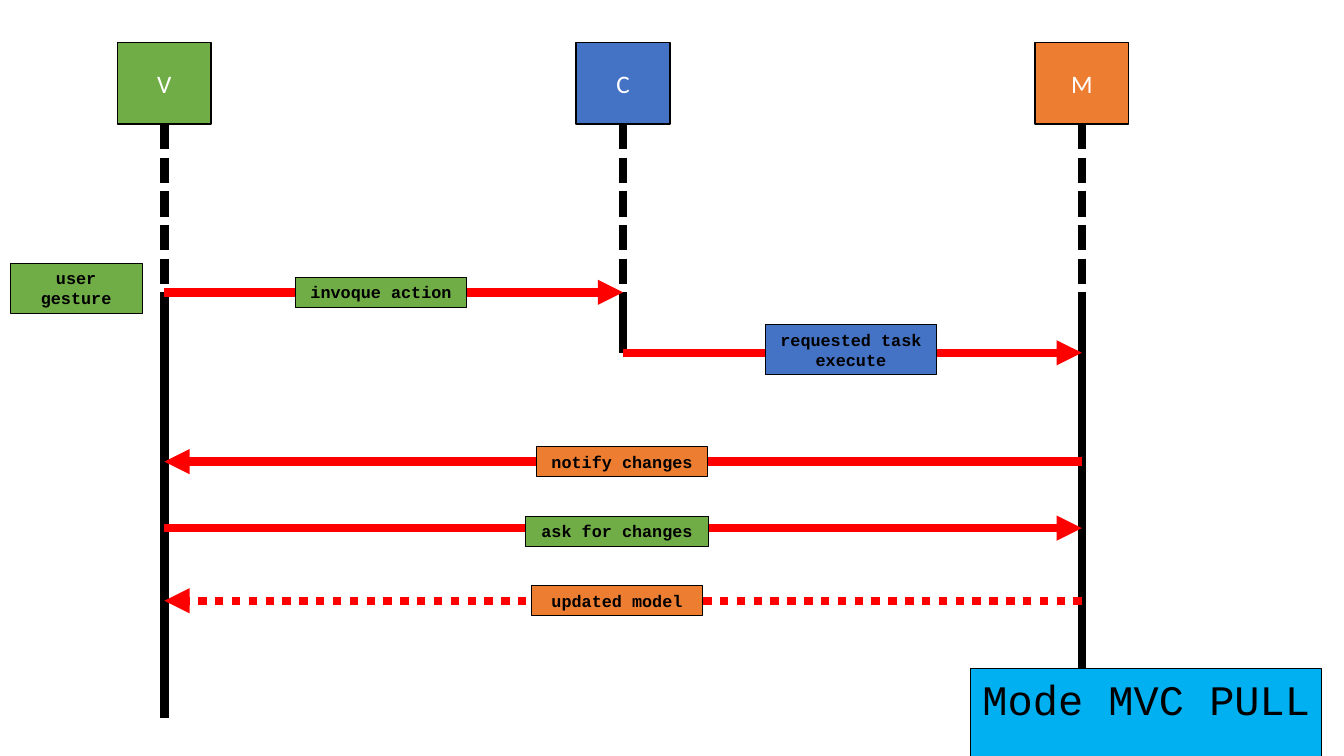
from pptx import Presentation
from pptx.dml.color import RGBColor
from pptx.enum.dml import MSO_LINE
from pptx.enum.shapes import MSO_CONNECTOR, MSO_SHAPE
from pptx.enum.text import MSO_ANCHOR, MSO_AUTO_SIZE, PP_ALIGN
from pptx.oxml.ns import qn
from pptx.util import Inches, Pt
from lxml import etree

RECTANGLE = MSO_SHAPE.RECTANGLE
STRAIGHT = MSO_CONNECTOR.STRAIGHT
DASHED, DOTTED = MSO_LINE.SQUARE_DOT, MSO_LINE.ROUND_DOT
CENTER = PP_ALIGN.CENTER
TOP, MIDDLE = MSO_ANCHOR.TOP, MSO_ANCHOR.MIDDLE
FIT_SHAPE = MSO_AUTO_SIZE.SHAPE_TO_FIT_TEXT
TITLE_ONLY = 5
BOTTOM_SIDE = 2

BLACK, WHITE, RED = "000000", "FFFFFF", "FF0000"
VIEW, CONTROLLER, MODEL, TITLE = "70AD47", "4472C4", "ED7D31", "00B0F0"


def color(value):
    return RGBColor.from_string(value)


class SequenceDiagram:
    """Draw a sequence diagram on a grid of 0.1 inch columns and rows."""

    cell = 0.1
    first_lane, lane_gap = 16.3, 45.5
    head_top, head_width, head_height = 4.2, 9.3, 8.1
    active_row = 31.1

    def __init__(self, deck):
        self.page = deck.slides.add_slide(deck.slide_layouts[TITLE_ONLY])

    def length(self, cells):
        return Inches(cells * self.cell)

    def lane(self, index):
        return self.first_lane + index * self.lane_gap

    def style(self, box, fill, border):
        box.fill.solid()
        box.fill.fore_color.rgb = color(fill)
        box.line.color.rgb = color(BLACK)
        box.line.width = Pt(border)

    def add_text(self, box, lines, size, font, ink, bold=False):
        frame = box.text_frame
        for index, line in enumerate(lines):
            para = frame.add_paragraph() if index else frame.paragraphs[0]
            para.alignment = CENTER
            para.line_spacing = 1.0
            span = para.add_run()
            span.text = line
            span.font.name, span.font.size, span.font.bold = font, Pt(size), bold
            span.font.color.rgb = color(ink)

    def box(self, left, top, width, height, fill, border):
        box = self.page.shapes.add_shape(
            RECTANGLE, *map(self.length, (left, top, width, height)))
        box.shadow.inherit = False
        self.style(box, fill, border)
        box.text_frame.word_wrap = True
        return box

    def line(self, start, end, ink, dash=None, arrow=False):
        line = self.page.shapes.add_connector(
            STRAIGHT, *map(self.length, (*start, *end)))
        line.line.color.rgb = color(ink)
        line.line.width = Pt(6)
        if dash:
            line.line.dash_style = dash
        properties = line.element.spPr
        if arrow:
            outline = properties.find(qn("a:ln"))
            etree.SubElement(outline, qn("a:tailEnd"), type="triangle")
        etree.SubElement(properties, qn("a:effectLst"))
        return line

    def participant(self, index, name, fill, last_row):
        x = self.lane(index)
        head = self.box(x - self.head_width / 2, self.head_top,
                        self.head_width, self.head_height, fill, 1)
        head.text_frame.vertical_anchor = MIDDLE
        self.add_text(head, [name], 18, "Calibri", WHITE)
        waiting = self.line((x, self.head_top + self.head_height),
                            (x, self.active_row), BLACK, DASHED)
        waiting.begin_connect(head, BOTTOM_SIDE)
        self.line((x, self.active_row), (x, last_row), BLACK)

    def message(self, source, target, row, dash=None):
        self.line((self.lane(source), row), (self.lane(target), row),
                  RED, dash, arrow=True)

    def label(self, lines, left, top, width, height, fill):
        box = self.box(left, top, width, height, fill, 0.75)
        box.text_frame.vertical_anchor = TOP
        box.text_frame.auto_size = FIT_SHAPE
        self.add_text(box, lines, 12, "Courier New", BLACK, bold=True)

    def title(self, text, left, top, width, height):
        title = self.page.shapes.title
        title.left, title.top, title.width, title.height = map(
            self.length, (left, top, width, height))
        self.style(title, TITLE, 0.75)
        frame = title.text_frame
        frame.word_wrap, frame.auto_size = False, FIT_SHAPE
        frame.vertical_anchor = TOP
        self.add_text(title, [text], 30, "Courier New", BLACK)
        title.element.getparent().append(title.element)


def main():
    deck = Presentation()
    deck.slide_width, deck.slide_height = Inches(13.33), Inches(7.5)
    diagram = SequenceDiagram(deck)

    participants = [("V", VIEW, 71.2), ("C", CONTROLLER, 35), ("M", MODEL, 71.2)]
    for index, participant in enumerate(participants):
        diagram.participant(index, *participant)

    messages = [(0, 1, 29), (1, 2, 35), (2, 0, 45.8), (0, 2, 52.4),
                (2, 0, 59.6, DOTTED)]
    for message in messages:
        diagram.message(*message)

    labels = [
        (["user gesture"], 1, 26.1, 13.1, 5, VIEW),
        (["invoque action"], 29.3, 27.5, 17, 3, VIEW),
        (["requested task", "execute"], 75.9, 32.2, 17, 5, CONTROLLER),
        (["notify changes"], 53.2, 44.3, 17, 3, MODEL),
        (["ask for changes"], 52.1, 51.2, 18.2, 3, VIEW),
        (["updated model"], 52.7, 58.1, 17, 3, MODEL),
    ]
    for label in labels:
        diagram.label(*label)

    diagram.title("Mode MVC PULL", 96.3, 66.3, 34.8, 6.1)
    deck.save("out.pptx")


if __name__ == "__main__":
    main()
